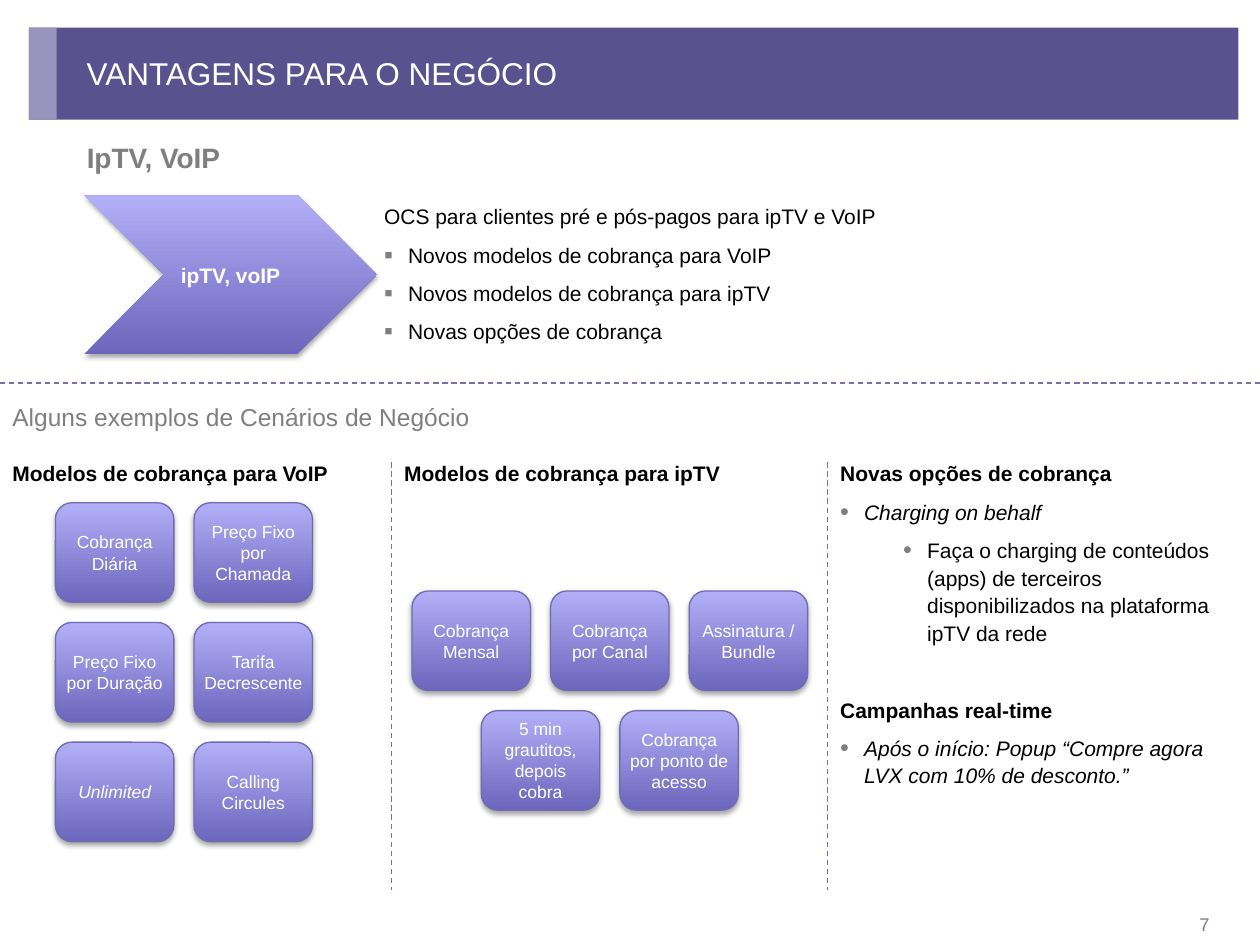
from lxml import etree
from pptx import Presentation
from pptx import util as u
from pptx.dml.color import RGBColor
from pptx.enum import dml, shapes, text
from pptx.oxml import ns
from pptx.util import Inches

COLORS = {
    "banner": "5A528F", "accent": "9894BB", "white": "FFFFFF", "black": "000000",
    "gray": "7F7F7F", "dark": "6C66BD", "light": "B3AFF7", "edge": "716CB1", "dash": "7570B3",
}
PLAIN = {"size": 12, "color": "black"}
BOLD = {**PLAIN, "bold": True}
SQUARE = {**PLAIN, "bullet": "▪"}
ROUND = {**PLAIN, "bullet": "•"}
ITALIC = {**ROUND, "italic": True}


def write(box, rows, align=text.PP_ALIGN.LEFT, anchor=text.MSO_ANCHOR.TOP, insets=None, spaced=True):
    frame = box.text_frame
    frame.word_wrap = True
    frame.vertical_anchor = anchor
    if insets:
        frame.margin_left, frame.margin_top, frame.margin_right, frame.margin_bottom = map(Inches, insets)
    frame.text = "\n".join(row[0] for row in rows)
    for para, (label, look) in zip(frame.paragraphs, rows):
        para.alignment = align
        props = para._p.get_or_add_pPr()
        if spaced:
            para.line_spacing = 1.1
            para.space_after = u.Pt(6)
            props.set("marL", str(Inches(look.get("indent", 0.19))))
            props.set("indent", str(Inches(-0.19)))
        if "before" in look:
            para.space_before = u.Pt(look["before"])
        if "bullet" in look:
            para.level = look.get("level", 0)
            tint = etree.SubElement(props, ns.qn("a:buClr"))
            etree.SubElement(tint, ns.qn("a:srgbClr"), val=COLORS["gray"])
            etree.SubElement(props, ns.qn("a:buSzPct"), val="120000")
            etree.SubElement(props, ns.qn("a:buFont"), typeface="Arial")
            etree.SubElement(props, ns.qn("a:buChar"), char=look["bullet"])
        for span in para.runs:
            span.font.name = "Arial"
            span.font.size = u.Pt(look["size"])
            span.font.color.rgb = RGBColor.from_string(COLORS[look["color"]])
            span.font.bold = look.get("bold", False)
            span.font.italic = look.get("italic", False)


def add_glossy(kind, left, top, width, height):
    shape = page.shapes.add_shape(kind, Inches(left), Inches(top), Inches(width), Inches(height))
    shape.fill.gradient()
    shape.fill.gradient_angle = 90
    for stop, name in zip(shape.fill.gradient_stops, ("dark", "light")):
        stop.color.rgb = RGBColor.from_string(COLORS[name])
    shape.shadow.inherit = False
    effects = shape._element.spPr.find(ns.qn("a:effectLst"))
    shadow = etree.SubElement(effects, ns.qn("a:outerShdw"), blurRad=str(u.Pt(3.1)),
                              dist=str(u.Pt(1.8)), dir="5400000", rotWithShape="0")
    tint = etree.SubElement(shadow, ns.qn("a:srgbClr"), val=COLORS["black"])
    etree.SubElement(tint, ns.qn("a:alpha"), val="35000")
    return shape


deck = Presentation()
deck.slide_width, deck.slide_height = Inches(10), Inches(7.5)
page = deck.slides.add_slide(deck.slide_layouts[6])

for width, color in ((9.6, "banner"), (0.22, "accent")):
    bar = page.shapes.add_shape(shapes.MSO_SHAPE.RECTANGLE, Inches(0.23), Inches(0.22), Inches(width), Inches(0.73))
    bar.fill.solid()
    bar.fill.fore_color.rgb = RGBColor.from_string(COLORS[color])
    bar.line.fill.background()
    bar.shadow.inherit = False

title = page.shapes.add_textbox(Inches(0.59), Inches(0.23), Inches(7.64), Inches(0.7))
write(title, [("VANTAGENS PARA O NEGÓCIO", {"size": 18, "color": "white"})],
      anchor=text.MSO_ANCHOR.MIDDLE, spaced=False)

number = page.shapes.add_textbox(Inches(8.67), Inches(7.14), Inches(0.97), Inches(0.36))
write(number, [("7", {"size": 10.5, "color": "gray"})], text.PP_ALIGN.RIGHT,
      text.MSO_ANCHOR.MIDDLE, (0.04, 0.04, 0.04, 0), False)
number.text_frame.paragraphs[0].line_spacing = u.Pt(12)

chevron = add_glossy(shapes.MSO_SHAPE.CHEVRON, 0.67, 1.55, 2.32, 1.26)
chevron.line.fill.background()
write(chevron, [("ipTV, voIP", {"size": 12, "color": "white", "bold": True})],
      text.PP_ALIGN.CENTER, text.MSO_ANCHOR.MIDDLE, (0, 0.04, 0, 0.04), False)

TEXTS = [
    (0.59, 1.04, 9.08, 0.4, [("IpTV, VoIP", {"size": 16, "color": "gray", "bold": True})]),
    (2.95, 1.55, 6.69, 1.26, [
        ("OCS para clientes pré e pós-pagos para ipTV e VoIP", PLAIN),
        ("Novos modelos de cobrança para VoIP", SQUARE),
        ("Novos modelos de cobrança para ipTV", SQUARE),
        ("Novas opções de cobrança", SQUARE),
    ]),
    (0, 3.12, 10, 0.34, [("Alguns exemplos de Cenários de Negócio", {"size": 14, "color": "gray"})]),
    (0, 3.59, 3.11, 3.54, [("Modelos de cobrança para VoIP", BOLD)]),
    (3.11, 3.59, 3.46, 3.54, [("Modelos de cobrança para ipTV", BOLD)]),
    (6.57, 3.59, 3.43, 3.54, [
        ("Novas opções de cobrança", BOLD),
        ("Charging on behalf", ITALIC),
        ("Faça o charging de conteúdos (apps) de terceiros disponibilizados na plataforma ipTV da rede",
         {**ROUND, "level": 1, "indent": 0.69}),
        ("Campanhas real-time", {**BOLD, "before": 22}),
        ("Após o início: Popup “Compre agora LVX com 10% de desconto.”", ITALIC),
    ]),
]
for left, top, width, height, rows in TEXTS:
    box = page.shapes.add_textbox(Inches(left), Inches(top), Inches(width), Inches(height))
    write(box, rows)

for x1, y1, x2, y2 in ((0, 3.04, 10, 3.04), (3.11, 3.67, 3.11, 7.06), (6.57, 3.67, 6.57, 7.06)):
    divider = page.shapes.add_connector(shapes.MSO_CONNECTOR.STRAIGHT, Inches(x1), Inches(y1), Inches(x2), Inches(y2))
    divider.line.color.rgb = RGBColor.from_string(COLORS["dash"])
    divider.line.width = u.Pt(0.75)
    divider.line.dash_style = dml.MSO_LINE.DASH
    etree.SubElement(divider._element.spPr, ns.qn("a:effectLst"))

TILE_WIDTH, TILE_HEIGHT, GAP = 0.94, 0.79, 0.16
TILE_GROUPS = [
    (1.46, 3.99, [
        ["Cobrança Diária", "Preço Fixo por Chamada"],
        ["Preço Fixo por Duração", "Tarifa Decrescente"],
        ["Unlimited", "Calling Circules"],
    ]),
    (4.84, 4.69, [
        ["Cobrança Mensal", "Cobrança por Canal", "Assinatura / Bundle"],
        ["5 min grautitos, depois cobra", "Cobrança por ponto de acesso"],
    ]),
]
for center, top, tile_rows in TILE_GROUPS:
    for row, labels in enumerate(tile_rows):
        start = center - (len(labels) * (TILE_WIDTH + GAP) - GAP) / 2
        for column, label in enumerate(labels):
            tile = add_glossy(shapes.MSO_SHAPE.ROUNDED_RECTANGLE, start + column * (TILE_WIDTH + GAP),
                              top + row * (TILE_HEIGHT + GAP), TILE_WIDTH, TILE_HEIGHT)
            tile.line.color.rgb = RGBColor.from_string(COLORS["edge"])
            tile.line.width = u.Pt(0.75)
            write(tile, [(label, {"size": 10, "color": "white", "italic": label == "Unlimited"})],
                  text.PP_ALIGN.CENTER, text.MSO_ANCHOR.MIDDLE, (0.04, 0.04, 0.04, 0.04), False)

deck.save("out.pptx")
